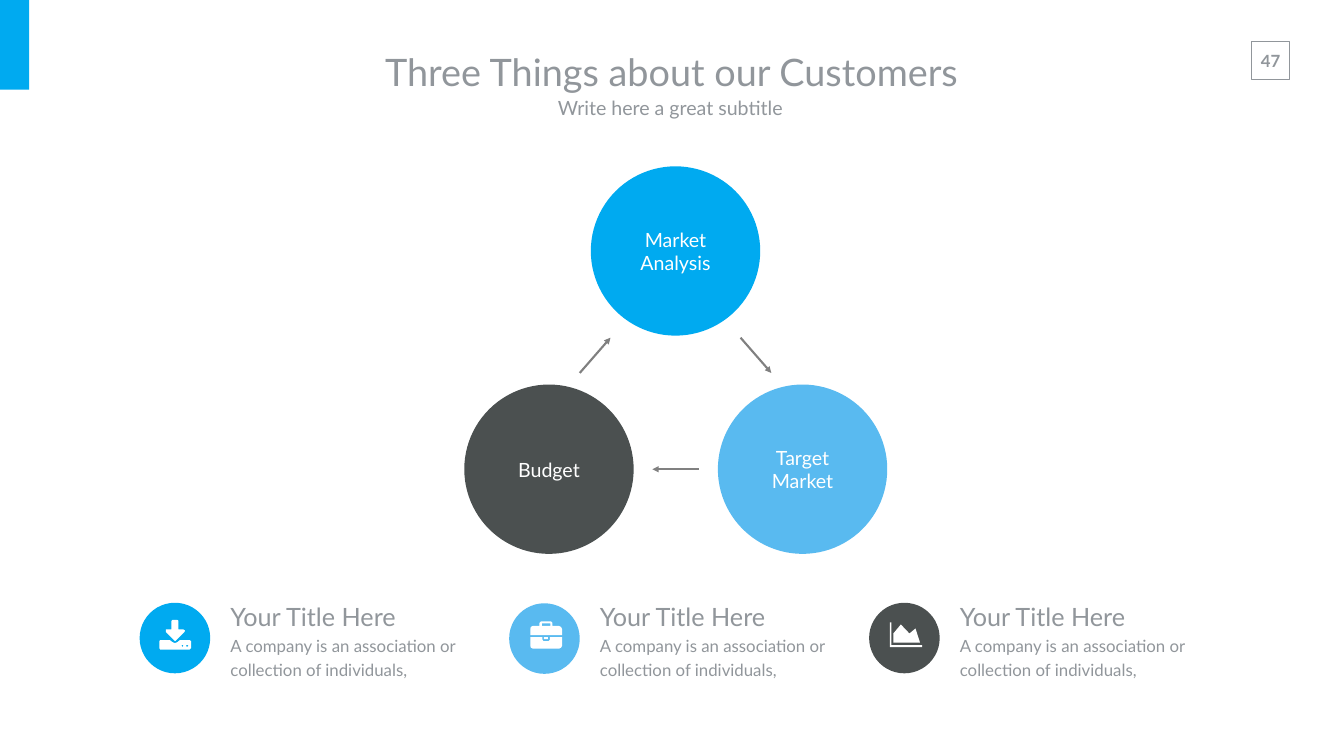
from pptx import Presentation
from pptx.dml.color import RGBColor
from pptx.enum.shapes import MSO_CONNECTOR, MSO_SHAPE
from pptx.enum.text import MSO_ANCHOR, MSO_AUTO_SIZE, PP_ALIGN
from pptx.oxml.ns import qn
from pptx.util import Inches, Pt
from lxml import etree

RECTANGLE, OVAL = MSO_SHAPE.RECTANGLE, MSO_SHAPE.OVAL
STRAIGHT = MSO_CONNECTOR.STRAIGHT
TOP, MIDDLE = MSO_ANCHOR.TOP, MSO_ANCHOR.MIDDLE
LEFT, CENTER = PP_ALIGN.LEFT, PP_ALIGN.CENTER
NO_AUTOFIT = MSO_AUTO_SIZE.NONE

BLUE, LIGHT_BLUE, DARK = "00AAF0", "59BAF0", "4B5050"
GRAY, ARROW_GRAY, WHITE = "91969B", "808080", "FFFFFF"


def paint(shape, color):
    shape.shadow.inherit = False
    shape.fill.solid()
    shape.fill.fore_color.rgb = RGBColor.from_string(color)
    shape.line.fill.background()


def write(shape, lines, color, align, anchor, margins, spacing=1.0, bold=False):
    """Fill a shape with (text, size) lines, one paragraph each."""
    frame = shape.text_frame
    frame.word_wrap = True
    frame.auto_size = NO_AUTOFIT
    frame.vertical_anchor = anchor
    frame.margin_left = frame.margin_right = Inches(margins[0])
    frame.margin_top = frame.margin_bottom = Inches(margins[1])
    for index, (text, size) in enumerate(lines):
        paragraph = frame.add_paragraph() if index else frame.paragraphs[0]
        paragraph.alignment = align
        paragraph.line_spacing = spacing
        paragraph.space_before = Pt(0)
        run = paragraph.add_run()
        run.text = text
        run.font.name = "Lato"
        run.font.size = Pt(size)
        run.font.bold = bold
        run.font.color.rgb = RGBColor.from_string(color)


presentation = Presentation()
presentation.slide_width = Inches(26.66)
presentation.slide_height = Inches(15)
slide = presentation.slides.add_slide(presentation.slide_layouts[0])
shapes = slide.shapes

# Corner bar and page number
corner_bar = shapes.add_shape(RECTANGLE, 0, 0, Inches(0.58), Inches(1.78))
paint(corner_bar, BLUE)
number_frame = shapes.add_shape(RECTANGLE, Inches(24.83), Inches(0.82), Inches(0.75), Inches(0.75))
number_frame.shadow.inherit = False
number_frame.fill.background()
number_frame.line.color.rgb = RGBColor.from_string(GRAY)
number_frame.line.width = Pt(1)
page_number = shapes.add_textbox(Inches(24.8), Inches(0.9), Inches(0.81), Inches(0.61))
write(page_number, [("47", 24)], GRAY, CENTER, TOP, (0.1, 0.1), bold=True)

# Title and subtitle
headings = [
    (shapes.title, "Three Things about our Customers", 54, (5.76, 0.83, 15.12, 1.18)),
    (slide.placeholders[1], "Write here a great subtitle ", 28, (8.18, 1.76, 10.33, 0.74)),
]
for placeholder, text, size, box in headings:
    placeholder.left, placeholder.top, placeholder.width, placeholder.height = map(Inches, box)
    write(placeholder, [(text, size)], GRAY, CENTER, MIDDLE, (0.27, 0.13))

# Cycle circles
DIAMETER = 3.36
cycle = [
    (11.72, 3.3, BLUE, ["Market", "Analysis"]),
    (14.24, 7.63, LIGHT_BLUE, ["Target", "Market"]),
    (9.21, 7.63, DARK, ["Budget"]),
]
for left, top, color, words in cycle:
    circle = shapes.add_shape(OVAL, Inches(left), Inches(top), Inches(DIAMETER), Inches(DIAMETER))
    paint(circle, color)
    write(circle, [(word, 28) for word in words], WHITE, CENTER, MIDDLE, (0, 0))

# Arrows between the circles
arrows = [
    (11.5, 7.4, 12.11, 6.7),
    (14.69, 6.7, 15.3, 7.4),
    (13.86, 9.31, 12.94, 9.31),
]
for ends in arrows:
    arrow = shapes.add_connector(STRAIGHT, *map(Inches, ends))
    arrow.line.color.rgb = RGBColor.from_string(ARROW_GRAY)
    arrow.line.width = Pt(3)
    etree.SubElement(arrow.line._get_or_add_ln(), qn("a:tailEnd"), type="triangle")
    etree.SubElement(arrow._element.spPr, qn("a:effectLst"))

# Icon outlines, in hundredths of an inch from the badge corner
download_icon = [
    [(39, 76), (41, 74), (60, 74), (65, 78), (70, 80), (75, 78), (80, 74), (99, 74),
     (102, 76), (102, 90), (99, 93), (41, 93), (39, 90)],
    [(52, 58), (52, 53), (63, 53), (63, 36), (65, 34), (75, 34), (77, 36), (77, 53),
     (87, 53), (90, 55), (89, 58), (72, 75), (70, 76), (69, 75)],
    [(83, 85), (85, 83), (87, 85), (85, 88)],
    [(92, 85), (94, 83), (97, 85), (94, 88)],
]
briefcase_icon = [
    [(42, 63), (42, 51), (43, 47), (47, 45), (60, 45), (60, 39), (63, 36), (83, 36),
     (86, 39), (86, 45), (99, 45), (103, 47), (105, 51), (105, 63)],
    [(65, 40), (82, 40), (82, 45), (65, 45)],
    [(42, 67), (66, 67), (66, 72), (68, 75), (78, 75), (81, 72), (81, 67), (105, 67),
     (105, 84), (103, 88), (99, 90), (47, 90), (43, 88), (42, 84)],
    [(69, 67), (77, 67), (77, 71), (69, 71)],
]
area_chart_icon = [
    [(41, 39), (44, 39), (44, 84), (105, 84), (105, 88), (41, 88)],
    [(48, 79), (48, 61), (63, 43), (80, 61), (92, 51), (101, 79)],
]

# Badges with their captions
BADGE = 1.4
caption = [
    ("Your Title Here", 36),
    ("A company is an association or collection of individuals,", 24),
]
badges = [
    (2.77, 11.96, BLUE, download_icon),
    (10.1, 11.97, LIGHT_BLUE, briefcase_icon),
    (17.24, 11.96, DARK, area_chart_icon),
]
for left, top, color, outlines in badges:
    badge = shapes.add_shape(OVAL, Inches(left), Inches(top), Inches(BADGE), Inches(BADGE))
    paint(badge, color)

    builder = shapes.build_freeform(*outlines[0][0], scale=Inches(0.01))
    for index, outline in enumerate(outlines):
        if index:
            builder.move_to(*outline[0])
        builder.add_line_segments(outline[1:], close=True)
    paint(builder.convert_to_shape(Inches(left), Inches(top)), WHITE)

    text_box = shapes.add_textbox(Inches(left + 1.6), Inches(11.71), Inches(5.11), Inches(1.88))
    write(text_box, caption, GRAY, LEFT, TOP, (0.2, 0.1), spacing=1.2)

presentation.save("out.pptx")
